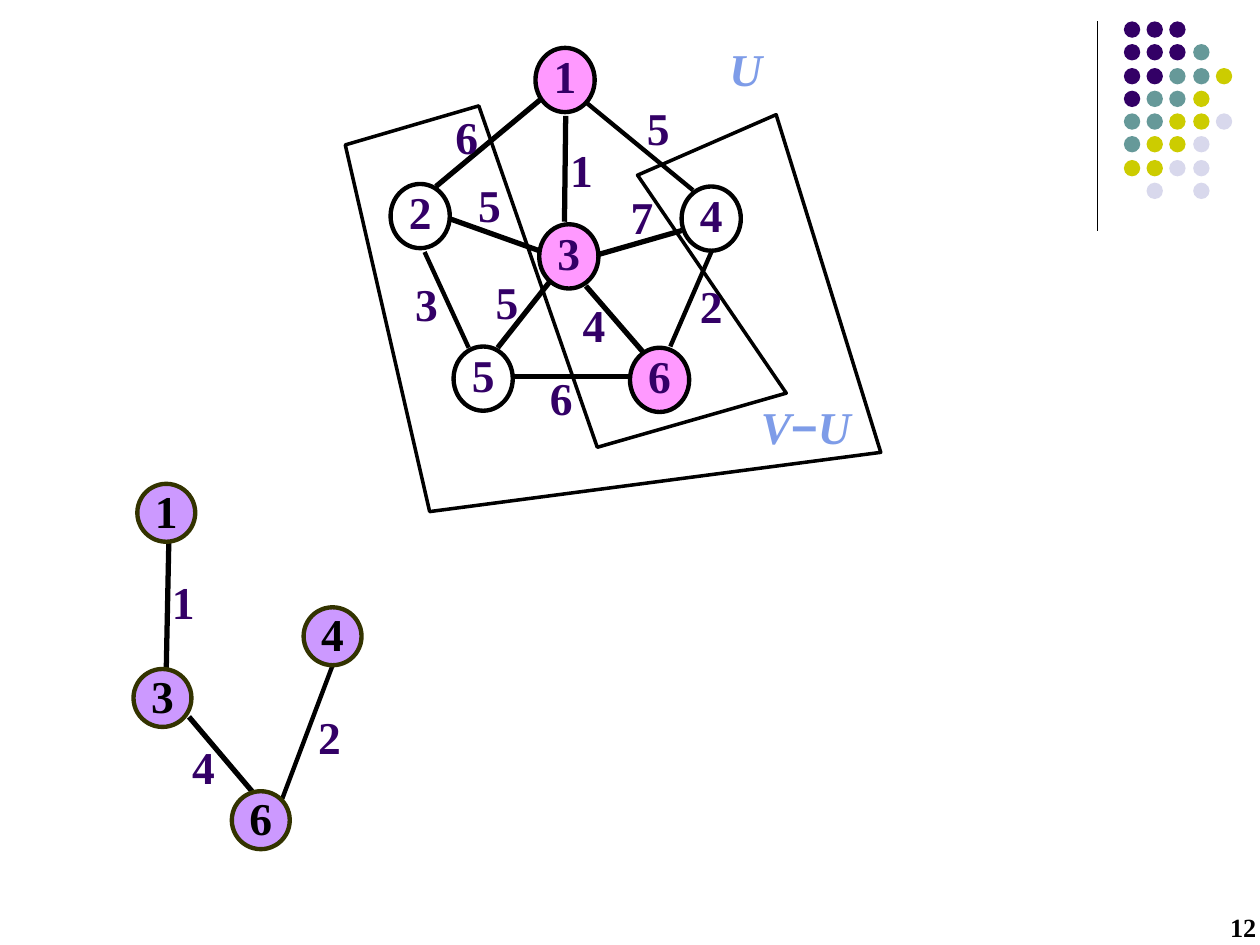
"""Build a slide showing a step of the minimum spanning tree algorithm."""
from lxml import etree
from pptx import Presentation
from pptx.dml.color import RGBColor
from pptx.enum.shapes import MSO_CONNECTOR, MSO_SHAPE
from pptx.enum.text import MSO_ANCHOR, PP_ALIGN
from pptx.oxml.ns import qn
from pptx.util import Pt

PIXEL = 9144
OVAL = MSO_SHAPE.OVAL
STRAIGHT = MSO_CONNECTOR.STRAIGHT
TOP, MIDDLE = MSO_ANCHOR.TOP, MSO_ANCHOR.MIDDLE
LEFT, CENTER, RIGHT = PP_ALIGN.LEFT, PP_ALIGN.CENTER, PP_ALIGN.RIGHT
SERIF, SANS = "Times New Roman", "Arial"

COLORS = {
    "black": "000000", "white": "FFFFFF", "purple": "330066", "teal": "669999",
    "lime": "CCCC00", "mist": "D8D8EC", "pink": "FF99FF", "violet": "CC99FF",
    "olive": "333300", "blue": "7E9CE8",
}
DOT_COLORS = {"P": "purple", "T": "teal", "L": "lime", "M": "mist"}
DOT_ROWS = ["PPP", "PPPT", "PPTTL", "PTTL", "TTLLM", "TLLM", "LLMM", " M M"]

CUT_OUTLINE = [(380, 84), (474, 355), (624, 312), (506, 139), (616, 91),
               (699, 359), (341, 406), (274, 115)]

# Each edge: ends, line width, weight, left and top of the weight.
GRAPH_EDGES = [
    ((429, 79), (346, 148), 3, "6", 354, 94),
    ((466, 82), (550, 151), 2.5, "5", 506, 87),
    ((337, 200), (372, 276), 2.5, "3", 322, 226),
    ((408, 299), (500, 299), 3, "6", 429, 301),
    ((565, 199), (532, 275), 2.5, "2", 548, 228),
    ((449, 92), (448, 176), 3, "1", 445, 120),
    ((436, 224), (395, 276), 3, "5", 386, 225),
    ((465, 227), (510, 279), 3, "4", 455, 243),
    ((475, 202), (541, 183), 3, "7", 493, 157),
    ((358, 174), (428, 199), 3, "5", 372, 148),
]
GRAPH_NODES = [("1", 425, 38, "pink"), ("2", 310, 146, None), ("4", 541, 148, None),
               ("3", 428, 178, "pink"), ("5", 360, 275, None), ("6", 500, 276, "pink")]
TREE_EDGES = [
    ((134, 430), (132, 530), 3, "1", 129, 463),
    ((150, 569), (200, 628), 3, "4", 145, 594),
    ((264, 528), (224, 634), 2.5, "2", 245, 570),
]
TREE_NODES = [("1", 109, 384), ("3", 106, 531), ("6", 184, 628), ("4", 241, 482)]


def px(*lengths):
    """Turn lengths in px into EMU."""
    return [length * PIXEL for length in lengths]


def color(name):
    """Return the named colour."""
    return RGBColor.from_string(COLORS[name])


def style_shape(shape, fill, line=None, width=0):
    """Set fill and outline and remove the shadow."""
    shape.shadow.inherit = False
    if fill:
        shape.fill.solid()
        shape.fill.fore_color.rgb = color(fill)
    else:
        shape.fill.background()
    if line:
        shape.line.color.rgb = color(line)
        shape.line.width = Pt(width)
    else:
        shape.line.fill.background()


def write_text(shape, runs, ink, size=26, spacing=None, align=CENTER, anchor=MIDDLE, inset=0):
    """Write bold runs, given as text, font and italic, in one paragraph."""
    frame = shape.text_frame
    frame.word_wrap = True
    frame.vertical_anchor = anchor
    frame.margin_left = frame.margin_right = inset * 2 * PIXEL
    frame.margin_top = frame.margin_bottom = inset * PIXEL
    paragraph = frame.paragraphs[0]
    paragraph.alignment = align
    if spacing:
        paragraph.line_spacing = Pt(spacing)
    for text, font_name, italic in runs:
        run = paragraph.add_run()
        run.text = text
        run.font.name = font_name
        run.font.size = Pt(size)
        run.font.bold = True
        run.font.italic = italic
        run.font.color.rgb = color(ink)


def add_label(slide, box, runs, ink, **options):
    """Add a text box."""
    write_text(slide.shapes.add_textbox(*px(*box)), runs, ink, **options)


def add_line(slide, start, end, width):
    """Add a straight black line."""
    connector = slide.shapes.add_connector(STRAIGHT, *px(*start, *end))
    connector.line.color.rgb = color("black")
    connector.line.width = Pt(width)
    etree.SubElement(connector._element.spPr, qn("a:effectLst"))


def add_edge(slide, start, end, width, weight, left, top):
    """Add an edge and its weight."""
    add_line(slide, start, end, width)
    add_label(slide, (left, top, 33, 36), [(weight, SERIF, False)], "purple", spacing=26)


def add_node(slide, box, name, fill, line, ink, spacing):
    """Add a numbered node."""
    node = slide.shapes.add_shape(OVAL, *px(*box))
    style_shape(node, fill, line, 2.5)
    write_text(node, [(name, SERIF, False)], ink, spacing=spacing)


def add_dots(slide):
    """Add the grid of corner dots beside its rule."""
    add_line(slide, (871, 17), (871, 183), 0.75)
    for row, codes in enumerate(DOT_ROWS):
        for column, code in enumerate(codes):
            if code in DOT_COLORS:
                left, top = round(892 + 18.25 * column), round(17 + 18.3 * row)
                dot = slide.shapes.add_shape(OVAL, *px(left, top, 13, 13))
                style_shape(dot, DOT_COLORS[code])


def add_cut(slide):
    """Add the outline around V−U and the names of both sets."""
    builder = slide.shapes.build_freeform(*CUT_OUTLINE[0], scale=PIXEL)
    builder.add_line_segments(CUT_OUTLINE[1:], close=True)
    style_shape(builder.convert_to_shape(), "white", "black", 2)
    set_name = [("U", SERIF, True)]
    add_label(slide, (569, 28, 67, 54), set_name, "blue", align=LEFT, anchor=TOP, inset=5)
    rest_name = [("V", SERIF, True), ("−", SANS, False), ("U", SERIF, True)]
    add_label(slide, (581, 312, 117, 54), rest_name, "blue", anchor=TOP, inset=5)


def main():
    """Build and save the slide."""
    presentation = Presentation()
    presentation.slide_width, presentation.slide_height = px(1000, 750)
    slide = presentation.slides.add_slide(presentation.slide_layouts[6])
    add_dots(slide)
    add_cut(slide)
    for edge in GRAPH_EDGES + TREE_EDGES:
        add_edge(slide, *edge)
    for name, left, top, fill in GRAPH_NODES:
        add_node(slide, (left, top, 47, 51), name, fill, "black", "purple", 26)
    for name, left, top in TREE_NODES:
        add_node(slide, (left, top, 46, 46), name, "violet", "olive", "black", 28)
    add_label(slide, (969, 721, 28, 29), [("12", SERIF, False)], "black", size=15, align=RIGHT)
    presentation.save("out.pptx")


if __name__ == "__main__":
    main()
